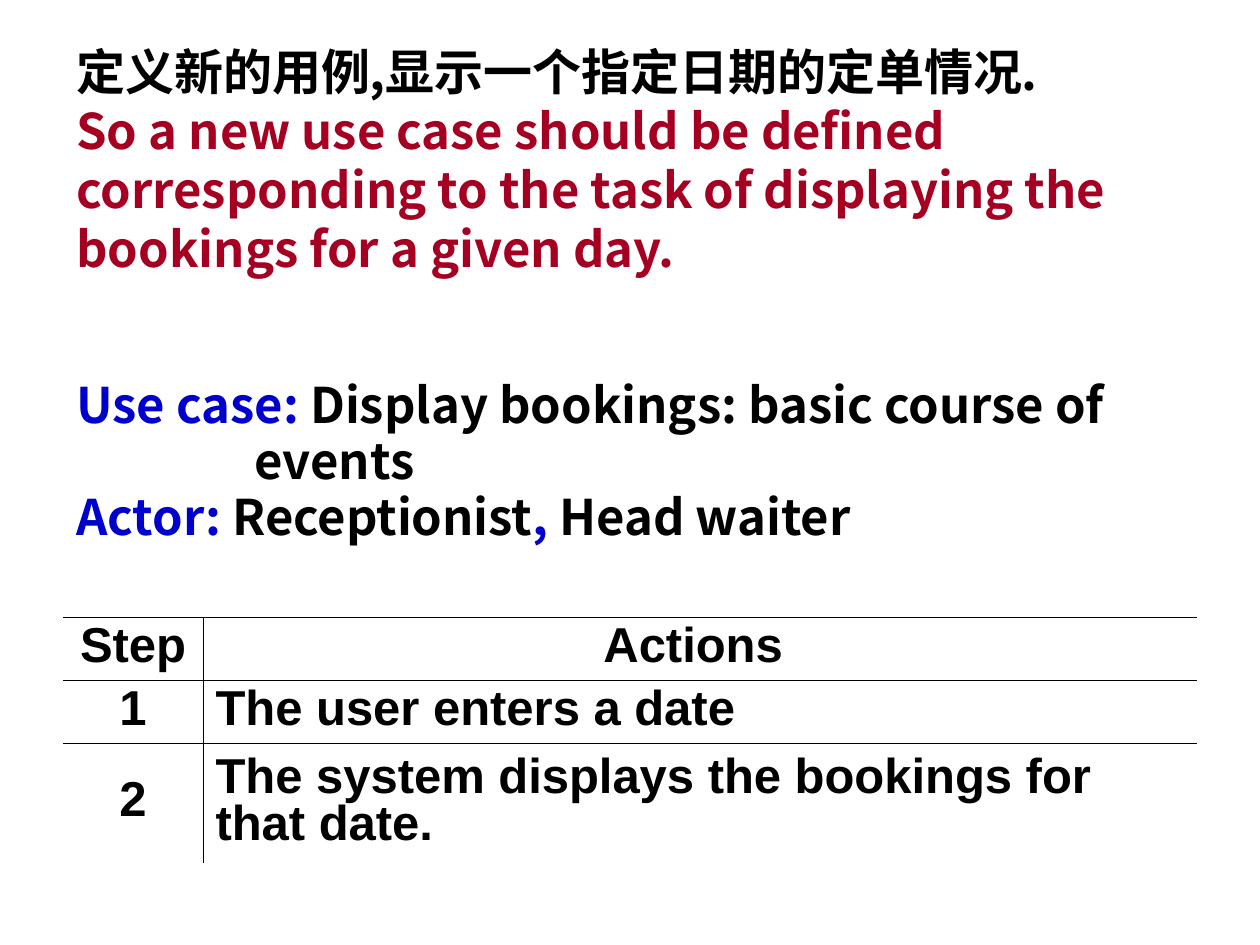
import pptx
import pptx.dml.color
import pptx.enum.text
import pptx.oxml
import pptx.oxml.ns
import pptx.util

Pt = pptx.util.Pt
ALIGN = pptx.enum.text.PP_ALIGN

THEME = {
    "ink": "000000", "red": "A50021", "blue": "0000CC",
    "text_font": "Noto Sans CJK SC", "table_font": "Arial",
    "size": 28, "rule": 0.45,
}

INTRO = [
    [("定义新的用例,显示一个指定日期的定单情况.", "ink")],
    [("So a new use case should be defined corresponding to the task of "
      "displaying the bookings for a given day.", "red")],
]
USE_CASE = [
    [("Use case: ", "blue"), ("Display bookings: basic course of", "ink")],
    [("events", "ink")],
    [("Actor: ", "blue"), ("Receptionist", "ink"), (", ", "blue"), ("Head waiter", "ink")],
]
STEPS = [
    ("Step", ["Actions "]),
    ("1", ["The user enters a date"]),
    ("2", ["The system displays the bookings for", "that date."]),
]
CONTINUATION_INDENT = 101.7
BOX_LEFT, BOX_WIDTH = 36.6, 657.4
TABLE_LEFT, TABLE_TOP = 36, 352.8
COLUMN_WIDTHS = [80, 568]
ROW_HEIGHTS = [36, 36, 68.4]


def write(frame, paragraphs, font=THEME["text_font"], align=ALIGN.LEFT, spacing=None, indents=()):
    frame.word_wrap = True
    for number, runs in enumerate(paragraphs):
        paragraph = frame.paragraphs[0] if number == 0 else frame.add_paragraph()
        paragraph.alignment = align
        if spacing:
            paragraph.line_spacing = spacing
        if number in indents:
            properties = paragraph._p.get_or_add_pPr()
            properties.set("marL", str(Pt(CONTINUATION_INDENT)))
            properties.set("indent", "0")
        for words, colour in runs:
            run = paragraph.add_run()
            run.text = words
            run.font.name = font
            run.font.size = Pt(THEME["size"])
            run.font.bold = True
            run.font.color.rgb = pptx.dml.color.RGBColor.from_string(THEME[colour])
            east_asian = pptx.oxml.parse_xml(
                f'<a:ea {pptx.oxml.ns.nsdecls("a")} typeface="{font}"/>')
            run.font._element.find(pptx.oxml.ns.qn("a:latin")).addnext(east_asian)


def add_text(slide, top, height, paragraphs, **text_format):
    box = slide.shapes.add_textbox(Pt(BOX_LEFT), Pt(top), Pt(BOX_WIDTH), Pt(height))
    write(box.text_frame, paragraphs, **text_format)


def set_borders(cell, ruled_sides):
    for position, side in enumerate("LRTB"):
        if side in ruled_sides:
            paint = f'<a:solidFill><a:srgbClr val="{THEME["ink"]}"/></a:solidFill>'
        else:
            paint = "<a:noFill/>"
        line = pptx.oxml.parse_xml(
            f'<a:ln{side} {pptx.oxml.ns.nsdecls("a")} w="{Pt(THEME["rule"])}">{paint}</a:ln{side}>')
        cell._tc.get_or_add_tcPr().insert(position, line)


def add_steps(slide):
    table = slide.shapes.add_table(
        len(STEPS), len(COLUMN_WIDTHS), Pt(TABLE_LEFT), Pt(TABLE_TOP),
        Pt(sum(COLUMN_WIDTHS)), Pt(sum(ROW_HEIGHTS))).table
    table.first_row = table.horz_banding = False
    for column, width in zip(table.columns, COLUMN_WIDTHS):
        column.width = Pt(width)
    for row, height in zip(table.rows, ROW_HEIGHTS):
        row.height = Pt(height)
    for row, (step, actions) in enumerate(STEPS):
        for column, lines in enumerate([[step], actions]):
            cell = table.cell(row, column)
            cell.vertical_anchor = pptx.enum.text.MSO_ANCHOR.MIDDLE
            cell.margin_left = cell.margin_right = Pt(7.2)
            cell.margin_top = cell.margin_bottom = Pt(3.6)
            cell.fill.background()
            below = "" if row == len(STEPS) - 1 else "B"
            set_borders(cell, "T" + below + "RL"[column])
            centred = row == 0 or column == 0
            write(cell.text_frame, [[(line, "ink")] for line in lines],
                  font=THEME["table_font"],
                  align=ALIGN.CENTER if centred else ALIGN.LEFT,
                  spacing=0.85 if len(lines) > 1 else 0.8)


def main():
    deck = pptx.Presentation()
    deck.slide_width, deck.slide_height = Pt(720), Pt(540)
    slide = deck.slides.add_slide(deck.slide_layouts.get_by_name("Blank"))
    add_steps(slide)
    add_text(slide, 213.1, 103, USE_CASE, spacing=0.95, indents=(1,))
    add_text(slide, 20.2, 141.8, INTRO)
    deck.save("out.pptx")


if __name__ == "__main__":
    main()
